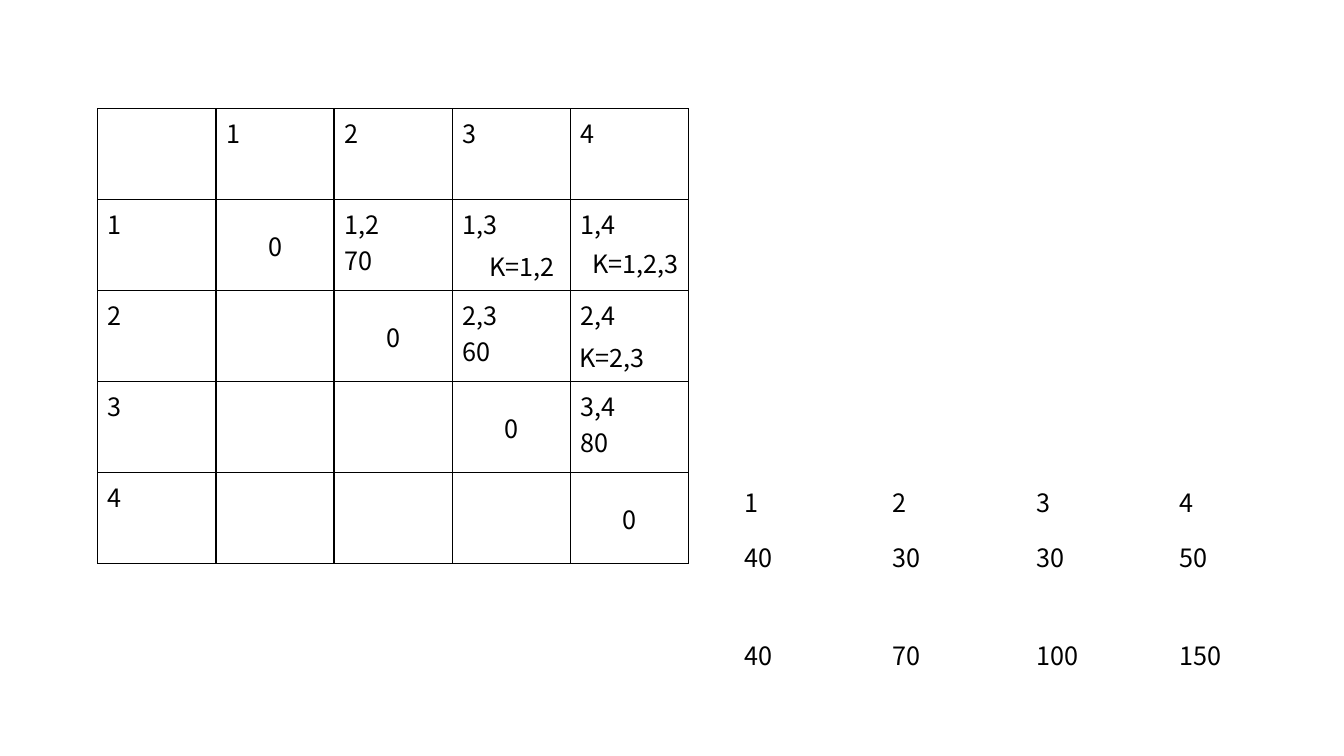
from dataclasses import dataclass
from itertools import accumulate

from lxml.etree import SubElement
from pptx import Presentation
from pptx.dml.color import RGBColor
from pptx.enum.text import MSO_ANCHOR, MSO_AUTO_SIZE, PP_ALIGN
from pptx.oxml.ns import qn
from pptx.slide import Slide
from pptx.table import _Cell as Cell
from pptx.text.text import TextFrame
from pptx.util import Pt


@dataclass(frozen=True)
class Theme:
    font: str = "Noto Sans CJK KR"
    size: float = 18
    ink: str = "000000"
    line: float = 1


@dataclass(frozen=True)
class Label:
    text: str
    left: float
    top: float
    width: float


THEME = Theme()
COSTS = [40, 30, 30, 50]
COUNT = len(COSTS)
LEFT, TOP = 69.84, 77.76
CELL_W, CELL_H = 84.4, 65
COLUMNS = [524.9, 630.7, 733, 835.2]
TOPS = [344.2, 383.8, 453.6]
NOTES = [
    Label("K=1,2", 342.7, 175.7, 92.9),
    Label("K=2,3", 406.8, 241.2, 92.9),
    Label("K=1,2,3", 416.2, 173.5, 92.9),
]


def style(frame: TextFrame) -> None:
    for para in frame.paragraphs:
        para.font.name = THEME.font
        para.font.size = Pt(THEME.size)
        para.font.color.rgb = RGBColor.from_string(THEME.ink)


def border(cell: Cell) -> None:
    props = cell._tc.get_or_add_tcPr()
    for side in ("lnL", "lnR", "lnT", "lnB"):
        edge = SubElement(props, qn(f"a:{side}"), w=str(Pt(THEME.line)))
        fill = SubElement(edge, qn("a:solidFill"))
        SubElement(fill, qn("a:srgbClr"), val=THEME.ink)
    cell.fill.background()


def entry(row: int, col: int) -> str:
    if row == col:
        return "0" if row else ""
    if row == 0 or col == 0:
        return str(row + col)
    if row > col:
        return ""
    pair = f"{row},{col}"
    return f"{pair}\n{sum(COSTS[row - 1:col])}" if col == row + 1 else pair


def add_grid(slide: Slide) -> None:
    side = COUNT + 1
    frame = slide.shapes.add_table(
        side, side, Pt(LEFT), Pt(TOP), Pt(CELL_W * side), Pt(CELL_H * side)
    )
    table = frame.table
    table.first_row = table.horz_banding = False
    for col in table.columns:
        col.width = Pt(CELL_W)
    for row in range(side):
        table.rows[row].height = Pt(CELL_H)
        for col in range(side):
            cell = table.cell(row, col)
            cell.text = entry(row, col)
            style(cell.text_frame)
            border(cell)
            if row == col > 0:
                cell.vertical_anchor = MSO_ANCHOR.MIDDLE
                cell.text_frame.paragraphs[0].alignment = PP_ALIGN.CENTER


def add_label(slide: Slide, label: Label) -> None:
    box = slide.shapes.add_textbox(
        Pt(label.left), Pt(label.top), Pt(label.width), Pt(28.8)
    )
    frame = box.text_frame
    frame.word_wrap = True
    frame.auto_size = MSO_AUTO_SIZE.SHAPE_TO_FIT_TEXT
    frame.text = label.text
    style(frame)


def list_costs() -> list[Label]:
    rows = [range(1, COUNT + 1), COSTS, accumulate(COSTS)]
    return [
        Label(str(value), left, top, 71.3 if value >= 100 else 46)
        for top, row in zip(TOPS, rows)
        for left, value in zip(COLUMNS, row)
    ]


def main() -> None:
    deck = Presentation()
    deck.slide_width, deck.slide_height = Pt(960), Pt(540)
    slide = deck.slides.add_slide(deck.slide_layouts[6])
    add_grid(slide)
    for label in list_costs() + NOTES:
        add_label(slide, label)
    deck.save("out.pptx")


if __name__ == "__main__":
    main()
